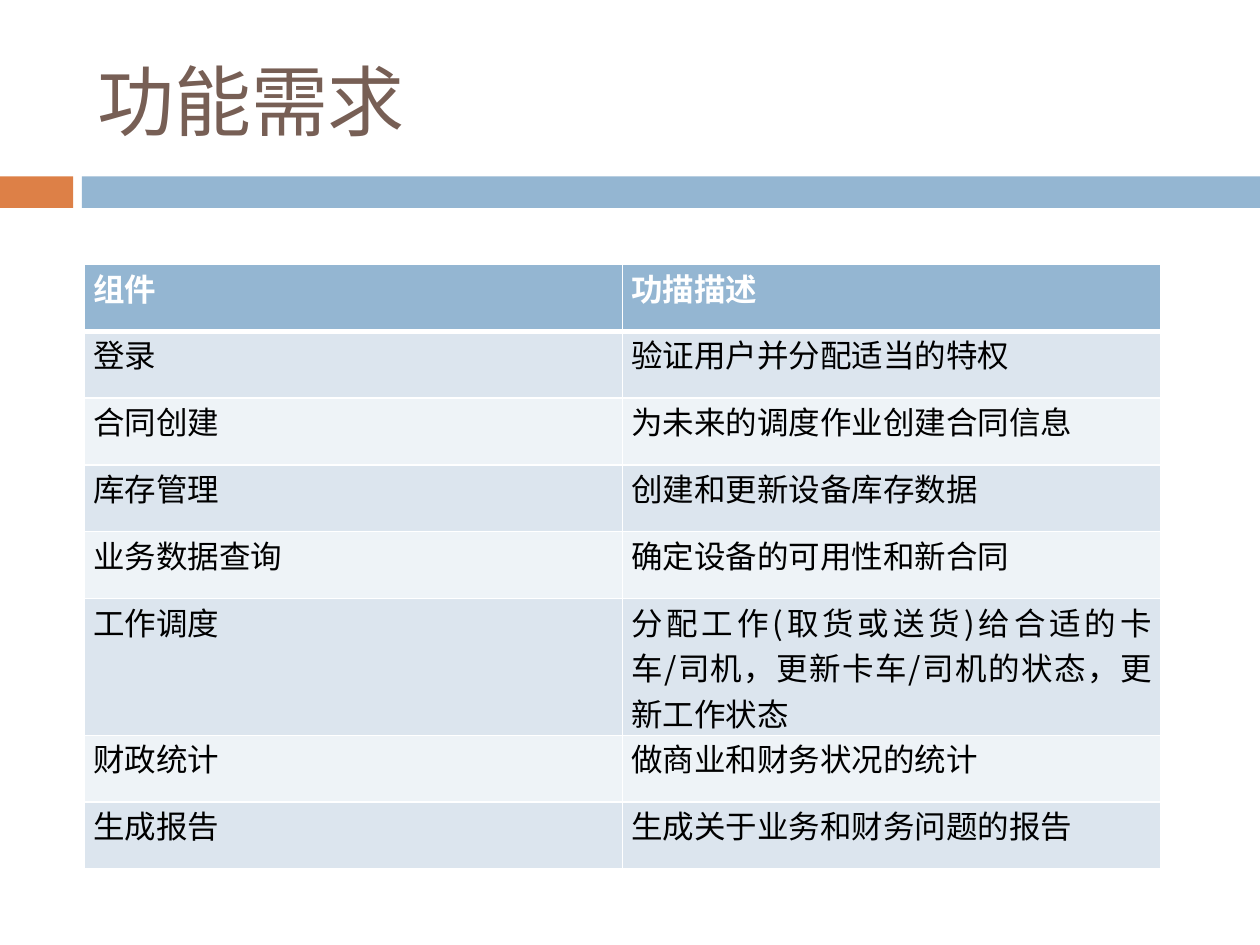
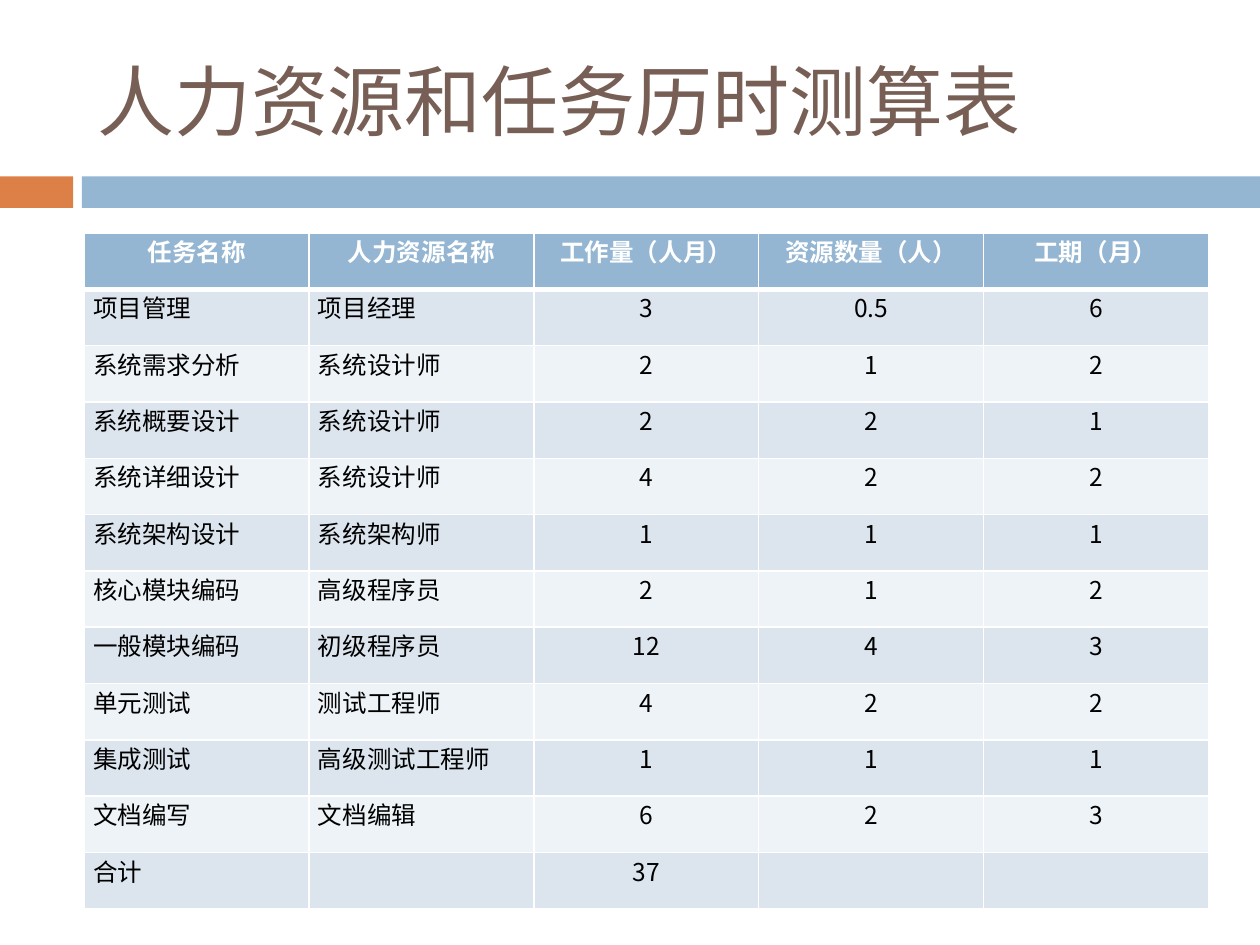
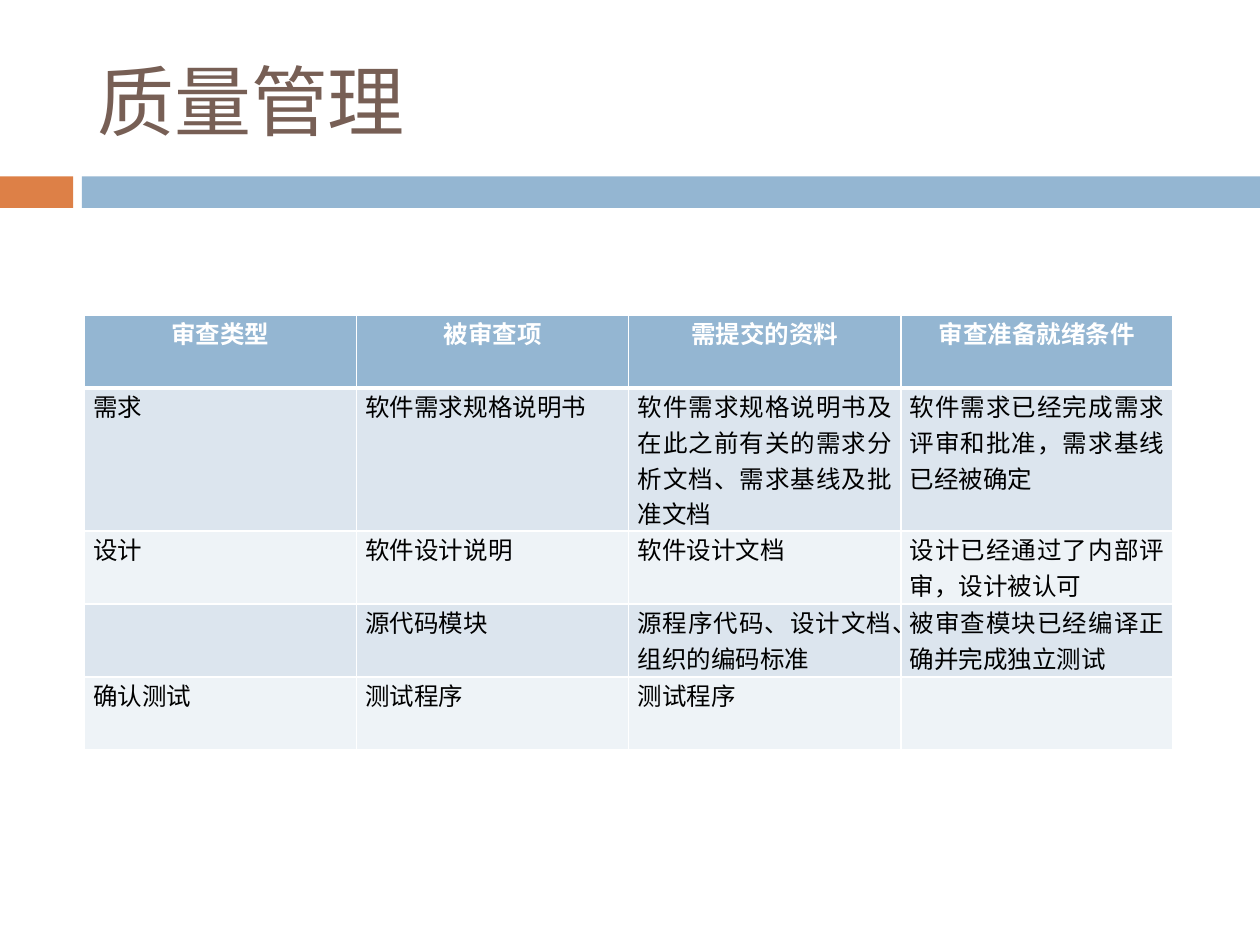
"""Build three project planning slides, each a title over a table."""
from dataclasses import dataclass
from itertools import groupby

from lxml import etree
from pptx import Presentation
from pptx import util as u
from pptx.dml.color import RGBColor
from pptx.enum import shapes, text
from pptx.oxml import ns


@dataclass(frozen=True)
class Theme:
    """Colours, fonts and type sizes of the deck."""
    white: str = "FFFFFF"
    black: str = "000000"
    brown: str = "775F55"
    rust: str = "DD8047"
    blue: str = "94B6D2"
    odd: str = "DCE5EE"
    even: str = "EEF3F7"
    head: str = "Cabin"
    body: str = "Times New Roman"
    east: str = "Noto Sans CJK SC"
    title: int = 44
    large: int = 18
    small: int = 14


T = Theme()
LEFT = 0.67
MID = text.PP_ALIGN.CENTER
JUST = text.PP_ALIGN.JUSTIFY

NEEDS = [
    ["组件", "功描描述"],
    ["登录", "验证用户并分配适当的特权"],
    ["合同创建", "为未来的调度作业创建合同信息"],
    ["库存管理", "创建和更新设备库存数据"],
    ["业务数据查询", "确定设备的可用性和新合同"],
    ["工作调度", "分配工作(取货或送货)给合适的卡车/司机，更新卡车/司机的状态，更新工作状态"],
    ["财政统计", "做商业和财务状况的统计"],
    ["生成报告", "生成关于业务和财务问题的报告"],
]
STAFF = [
    ["任务名称", "人力资源名称", "工作量（人月）", "资源数量（人）", "工期（月）"],
    ["项目管理", "项目经理", "3", "0.5", "6"],
    ["系统需求分析", "系统设计师", "2", "1", "2"],
    ["系统概要设计", "系统设计师", "2", "2", "1"],
    ["系统详细设计", "系统设计师", "4", "2", "2"],
    ["系统架构设计", "系统架构师", "1", "1", "1"],
    ["核心模块编码", "高级程序员", "2", "1", "2"],
    ["一般模块编码", "初级程序员", "12", "4", "3"],
    ["单元测试", "测试工程师", "4", "2", "2"],
    ["集成测试", "高级测试工程师", "1", "1", "1"],
    ["文档编写", "文档编辑", "6", "2", "3"],
    ["合计", "", "37", "", ""],
]
AUDIT = [
    ["审查类型", "被审查项", "需提交的资料", "审查准备就绪条件"],
    ["需求", "软件需求规格说明书",
     "软件需求规格说明书及在此之前有关的需求分析文档、需求基线及批准文档",
     "软件需求已经完成需求评审和批准，需求基线已经被确定"],
    ["设计", "软件设计说明", "软件设计文档", "设计已经通过了内部评审，设计被认可"],
    ["", "源代码模块", "源程序代码、设计文档、组织的编码标准",
     "被审查模块已经编译正确并完成独立测试"],
    ["确认测试", "测试程序", "测试程序", ""],
]


def paint(fill, tint):
    """Give a fill one solid colour."""
    fill.solid()
    fill.fore_color.rgb = RGBColor.from_string(tint)


def write(para, words, face, size, tint, bold=False):
    """Add one run with its Latin and East Asian fonts."""
    run = para.add_run()
    run.text = words
    font = run.font
    font.name, font.size, font.bold = face, u.Pt(size), bold
    font.color.rgb = RGBColor.from_string(tint)
    props = run._r.get_or_add_rPr()
    props.set("lang", "zh-CN")
    east = etree.Element(ns.qn("a:ea"), typeface=T.east)
    props.find(ns.qn("a:latin")).addnext(east)


def band(slide, num, left, width, tint):
    """Place a bar behind everything on the slide's layout."""
    bar = slide.shapes.add_shape(
        shapes.MSO_SHAPE.RECTANGLE, u.Inches(left), u.Inches(1.4),
        u.Inches(width), u.Inches(0.25))
    bar.shadow.inherit = False
    paint(bar.fill, tint)
    bar.line.fill.background()
    bar.element.nvSpPr.cNvPr.set("id", str(num))
    slide.slide_layout.shapes.element.insert(2, bar.element)


def page(deck, name):
    """Add a slide with its title."""
    slide = deck.slides.add_slide(deck.slide_layouts.get_by_name("Title Only"))
    title = slide.shapes.title
    title.left, title.top = u.Inches(LEFT), u.Inches(0.25)
    title.width, title.height = u.Inches(8.92), u.Inches(1.08)
    frame = title.text_frame
    frame.auto_size = text.MSO_AUTO_SIZE.NONE
    frame.vertical_anchor = text.MSO_ANCHOR.MIDDLE
    para = frame.paragraphs[0]
    para.alignment = text.PP_ALIGN.LEFT
    write(para, name, T.head, T.title, T.brown)
    return slide


def edge(cell, row):
    """Draw white cell borders, thick between header and body."""
    thick = {(0, "B"), (1, "T")}
    props = cell._tc.get_or_add_tcPr()
    for side in "LRTB":
        width = u.Pt(3 if (row, side) in thick else 1)
        line = etree.SubElement(props, ns.qn(f"a:ln{side}"), w=str(width))
        fill = etree.SubElement(line, ns.qn("a:solidFill"))
        etree.SubElement(fill, ns.qn("a:srgbClr"), val=T.white)


def fill_cell(cell, words, row, size, align):
    """Format one cell, setting ASCII text in the East Asian font."""
    edge(cell, row)
    paint(cell.fill, T.blue if row == 0 else T.odd if row % 2 else T.even)
    cell.margin_left = cell.margin_right = u.Inches(0.07)
    cell.margin_top = cell.margin_bottom = 0
    para = cell.text_frame.paragraphs[0]
    para.alignment = align
    for plain, part in groupby(words, str.isascii):
        write(para, "".join(part), T.east if plain else T.body, size,
              T.black if row else T.white, row == 0)


def grid(slide, data, top, width, step, size, tall=None, head=MID):
    """Add a table of equal columns; tall maps a row to its own height."""
    tall = tall or {}
    highs = [tall.get(row, step) for row in range(len(data))]
    table = slide.shapes.add_table(
        len(data), len(data[0]), u.Inches(LEFT), u.Inches(top),
        u.Inches(width), u.Inches(sum(highs))).table
    for row, (line, high) in enumerate(zip(data, highs)):
        table.rows[row].height = u.Inches(high)
        for col, words in enumerate(line):
            align = head if row == 0 else MID if words.isascii() else JUST
            fill_cell(table.cell(row, col), words, row, size, align)


def main():
    """Build the deck and save it."""
    deck = Presentation()
    deck.slide_width, deck.slide_height = u.Inches(10), u.Inches(7.5)

    slide = page(deck, "功能需求")
    band(slide, 20, 0, 0.58, T.rust)
    band(slide, 21, 0.65, 9.35, T.blue)
    grid(slide, NEEDS, 2.1, 8.54, 0.53, T.large, {5: 0.95}, JUST)

    slide = page(deck, "人力资源和任务历时测算表")
    grid(slide, STAFF, 1.85, 8.92, 0.447, T.small)

    slide = page(deck, "质量管理")
    grid(slide, AUDIT, 2.5, 8.64, 0.58, T.small, {1: 1})

    deck.save("out.pptx")


if __name__ == "__main__":
    main()
